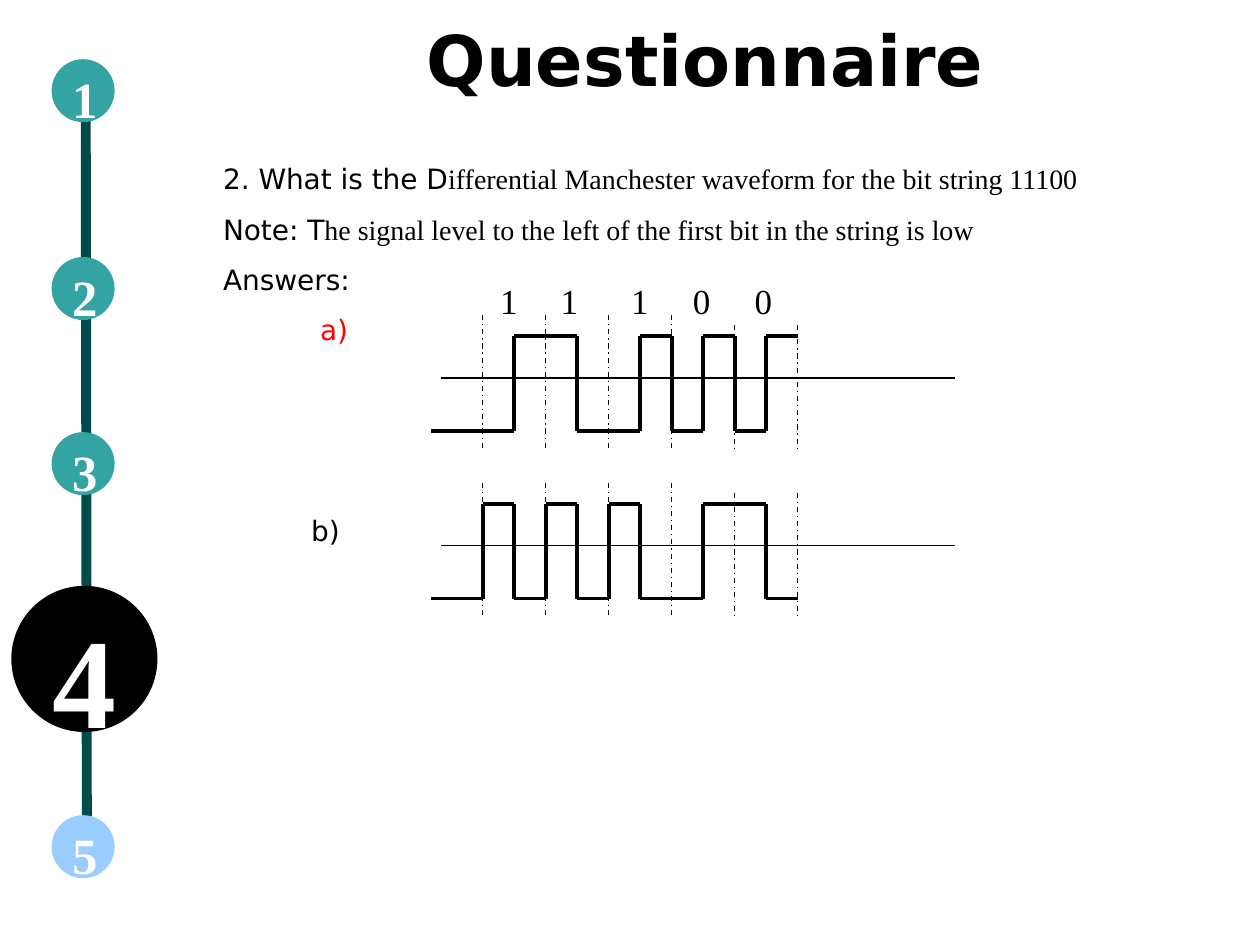
from dataclasses import dataclass
from itertools import groupby

from lxml.etree import SubElement
from pptx import Presentation
from pptx.dml.color import RGBColor
from pptx.enum.dml import MSO_LINE_DASH_STYLE as Dash
from pptx.enum.shapes import MSO_CONNECTOR_TYPE as Connector, MSO_SHAPE as Shape
from pptx.enum.text import MSO_ANCHOR as Anchor, MSO_AUTO_SIZE as AutoSize, PP_ALIGN as Align
from pptx.oxml.ns import qn
from pptx.slide import Slide
from pptx.util import Inches, Pt


@dataclass(frozen=True)
class Theme:
    black: str = "000000"
    white: str = "FFFFFF"
    rail: str = "004A4A"
    done: str = "33A3A3"
    upcoming: str = "99CCFF"
    marked: str = "FF0000"
    sans: str = "DejaVu Sans"
    serif: str = "Times New Roman"
    title: int = 40
    body: int = 16
    bits: int = 20
    step: int = 29
    current_step: int = 73
    spacing: float = 1.24


THEME = Theme()


@dataclass(frozen=True)
class Step:
    label: str
    top: float
    fill: str
    left: float = 0.41
    diameter: float = 0.5
    size: int = THEME.step


@dataclass(frozen=True)
class Line:
    spans: tuple[tuple[str, str], ...]
    color: str = THEME.black
    indent: float = 0
    before: float = 5


@dataclass(frozen=True)
class Waveform:
    top: float
    levels: str


STEPS = [
    Step("1", 0.47, THEME.done),
    Step("2", 2.04, THEME.done),
    Step("3", 3.43, THEME.done),
    Step("4", 4.65, THEME.black, 0.09, 1.16, THEME.current_step),
    Step("5", 6.47, THEME.upcoming),
]
LINES = [
    Line((("2. What is the D", THEME.sans),
          ("ifferential Manchester waveform for the bit string 11100", THEME.serif)), before=0),
    Line((("Note: T", THEME.sans),
          ("he signal level to the left of the first bit in the string is low", THEME.serif))),
    Line((("Answers:", THEME.sans),)),
    Line((("a)", THEME.sans),), THEME.marked, 0.77),
    Line((("b)", THEME.sans),), indent=0.7, before=91),
]
WAVEFORMS = [Waveform(2.5, "LHHLLHLHLH"), Waveform(3.83, "HLHLHLLHHL")]
BIT_STOPS = [0.27, 0.75, 1.31, 1.8, 2.29]
WAVE_START, LEAD_IN, HALF_BIT = 3.83, 3.42, 0.25
HIGH, AXIS, LOW, GUIDE_END = 0.17, 0.5, 0.92, 1.08


def style_font(font, size: int, face: str, color: str, bold: bool = False) -> None:
    font.size, font.name, font.bold = Pt(size), face, bold
    font.color.rgb = RGBColor.from_string(color)


def set_margins(frame, side: float, end: float) -> None:
    frame.margin_left = frame.margin_right = Inches(side)
    frame.margin_top = frame.margin_bottom = Inches(end)


def place(shape, left: float, top: float, width: float, height: float) -> None:
    shape.left, shape.top = Inches(left), Inches(top)
    shape.width, shape.height = Inches(width), Inches(height)


def draw_line(page: Slide, start: tuple[float, float], end: tuple[float, float],
              width: float, color: str = THEME.black, dash: Dash | None = None) -> None:
    points = [Inches(value) for value in (*start, *end)]
    line = page.shapes.add_connector(Connector.STRAIGHT, *points)
    line.line.width = Pt(width)
    line.line.color.rgb = RGBColor.from_string(color)
    if dash is not None:
        line.line.dash_style = dash
    SubElement(line._element.spPr, qn("a:effectLst"))


def draw_step(page: Slide, step: Step) -> None:
    box = [Inches(value) for value in (step.left, step.top, step.diameter, step.diameter)]
    circle = page.shapes.add_shape(Shape.OVAL, *box)
    circle.shadow.inherit = False
    circle.fill.solid()
    circle.fill.fore_color.rgb = RGBColor.from_string(step.fill)
    circle.line.fill.background()
    frame = circle.text_frame
    set_margins(frame, 0.09, 0.04)
    frame.vertical_anchor = Anchor.MIDDLE
    frame.text = step.label
    para = frame.paragraphs[0]
    para.alignment, para.line_spacing = Align.CENTER, THEME.spacing
    style_font(para.runs[0].font, step.size, THEME.serif, THEME.white, True)


def write_title(page: Slide, text: str) -> None:
    title = page.shapes.title
    place(title, 1.67, -0.03, 7.85, 1.16)
    frame = title.text_frame
    frame.text = text
    frame.auto_size, frame.vertical_anchor = AutoSize.NONE, Anchor.TOP
    set_margins(frame, 0, 0)
    para = frame.paragraphs[0]
    para.alignment, para.line_spacing = Align.CENTER, THEME.spacing
    style_font(para.runs[0].font, THEME.title, THEME.sans, THEME.black, True)


def write_body(page: Slide, lines: list[Line]) -> None:
    body = page.placeholders[1]
    place(body, 1.67, 1.17, 7.5, 5)
    frame = body.text_frame
    frame.text = "\n".join("" for _ in lines)
    frame.auto_size, frame.vertical_anchor = AutoSize.NONE, Anchor.TOP
    set_margins(frame, 0.1, 0.05)
    for para, line in zip(frame.paragraphs, lines):
        para.line_spacing, para.space_before = THEME.spacing, Pt(line.before)
        properties = para._p.get_or_add_pPr()
        properties.set("marL", str(Inches(line.indent)))
        properties.set("indent", "0")
        SubElement(properties, qn("a:buNone"))
        for text, face in line.spans:
            span = para.add_run()
            span.text = text
            style_font(span.font, THEME.body, face, line.color)


def write_bits(page: Slide, bits: str) -> None:
    box = page.shapes.add_textbox(Inches(3.67), Inches(2.17), Inches(3.5), Inches(0.45))
    frame = box.text_frame
    frame.word_wrap = True
    frame.text = "".join(f"\t{bit}" for bit in bits)
    para = frame.paragraphs[0]
    stops = SubElement(para._p.get_or_add_pPr(), qn("a:tabLst"))
    for stop in BIT_STOPS:
        SubElement(stops, qn("a:tab"), pos=str(Inches(stop)), algn="ctr")
    style_font(para.runs[0].font, THEME.bits, THEME.serif, THEME.black)


def draw_waveform(page: Slide, wave: Waveform) -> None:
    top = wave.top
    draw_line(page, (3.5, top + AXIS), (7.58, top + AXIS), 0.75)
    for index in range(6):
        x = WAVE_START + index * 2 * HALF_BIT
        guide_top = top if index < 4 else top + 0.08
        draw_line(page, (x, guide_top), (x, top + GUIDE_END), 0.75, dash=Dash.DASH_DOT)
    heights = {"H": top + HIGH, "L": top + LOW}
    x, y = WAVE_START, heights["L"]
    draw_line(page, (LEAD_IN, y), (x, y), 2.25)
    for level, group in groupby(wave.levels):
        next_x, next_y = x + HALF_BIT * len(list(group)), heights[level]
        if next_y != y:
            draw_line(page, (x, y), (x, next_y), 2.25)
        draw_line(page, (x, next_y), (next_x, next_y), 2.25)
        x, y = next_x, next_y


def main() -> None:
    deck = Presentation()
    deck.slide_width, deck.slide_height = Inches(10), Inches(7.5)
    page = deck.slides.add_slide(deck.slide_layouts[1])
    draw_line(page, (0.68, 0.61), (0.69, 6.92), 5.67, THEME.rail)
    for step in STEPS:
        draw_step(page, step)
    write_title(page, "Questionnaire")
    write_body(page, LINES)
    write_bits(page, "11100")
    for wave in WAVEFORMS:
        draw_waveform(page, wave)
    deck.save("out.pptx")


if __name__ == "__main__":
    main()
